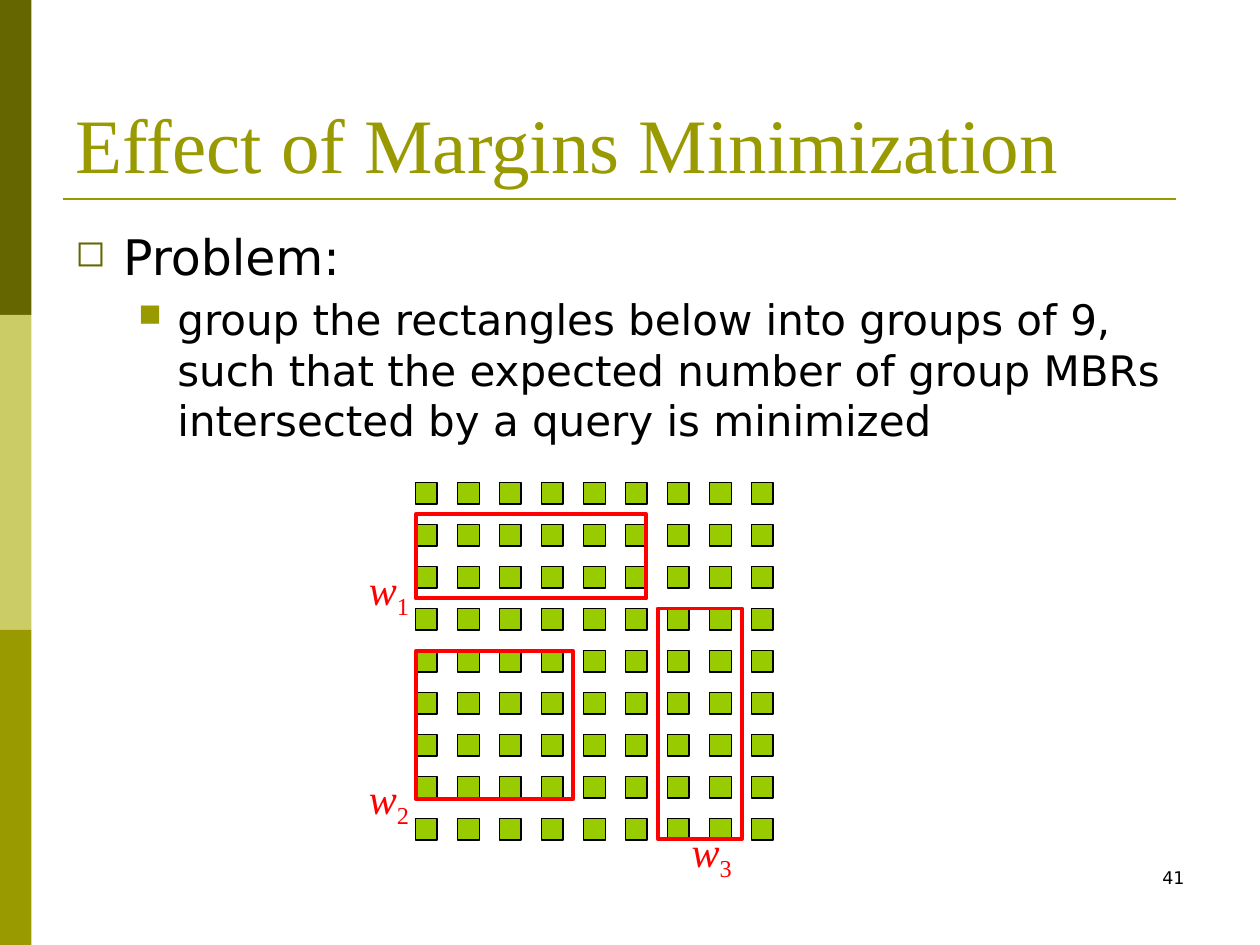
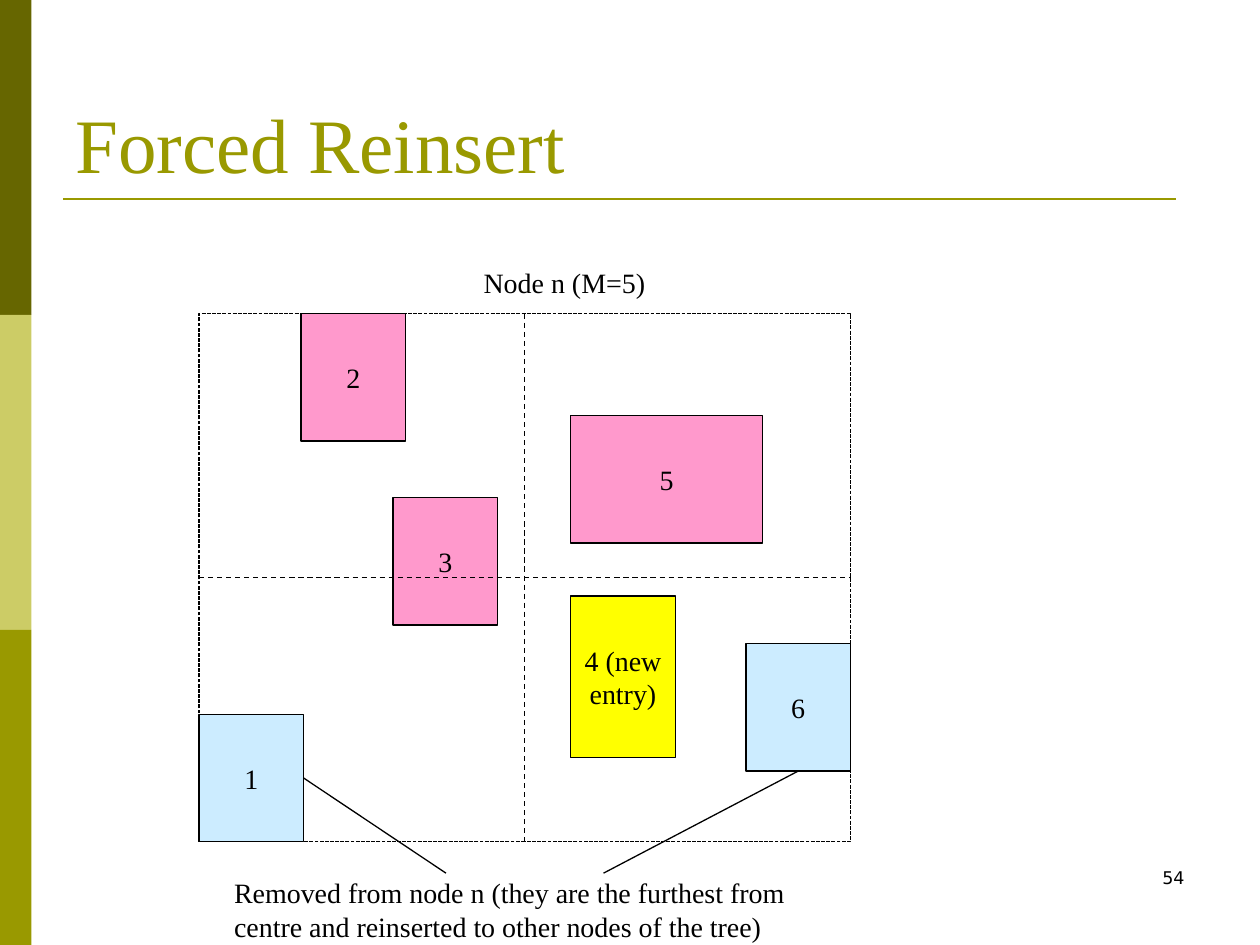
from lxml import etree
from pptx import Presentation
from pptx.dml.color import RGBColor
from pptx.enum.dml import MSO_LINE
from pptx.enum.shapes import MSO_CONNECTOR, MSO_SHAPE
from pptx.enum.text import MSO_ANCHOR, PP_ALIGN
from pptx.oxml.ns import qn
from pptx.shapes.connector import Connector
from pptx.util import Inches, Pt

SERIF, SANS = "Times New Roman", "DejaVu Sans"
OLIVE, DARK_OLIVE, LIGHT_OLIVE = "999900", "666600", "CCCC66"
BLACK, RED, GREEN = "000000", "FF0000", "99CC00"
PINK, BLUE, YELLOW = "FF99CC", "CCECFF", "FFFF00"
rgb = RGBColor.from_string


def add_rect(s, at, fill=None, line=None, width=0.75):
    sp = s.shapes.add_shape(MSO_SHAPE.RECTANGLE, *map(Inches, at))
    sp.shadow.inherit = False
    if fill:
        sp.fill.solid()
        sp.fill.fore_color.rgb = rgb(fill)
    else:
        sp.fill.background()
    if line:
        sp.line.color.rgb = rgb(line)
        sp.line.width = Pt(width)
    else:
        sp.line.fill.background()
    return sp


def add_run(p, text, size, font=SERIF, color=BLACK):
    r = p.add_run()
    r.text = text
    r.font.size = Pt(size)
    r.font.name = font
    r.font.color.rgb = rgb(color)
    return r


prs = Presentation()
prs.slide_width, prs.slide_height = Inches(10), Inches(7.5)

# Shared frame: side bands, title, rule and page number
for title, number in [("Effect of Margins Minimization", "41"), ("Forced Reinsert", "54")]:
    s = prs.slides.add_slide(prs.slide_layouts[6])
    for i, color in enumerate([DARK_OLIVE, LIGHT_OLIVE, OLIVE]):
        add_rect(s, (0, 2.5 * i, 0.25, 2.5), color)
    rule = s.shapes.add_connector(MSO_CONNECTOR.STRAIGHT, Inches(0.5), Inches(1.58),
                                  Inches(9.33), Inches(1.58))
    rule.line.color.rgb = rgb(OLIVE)
    rule.line.width = Pt(1.5)

    tf = s.shapes.add_textbox(Inches(0.5), Inches(0.3), Inches(9), Inches(1.25)).text_frame
    tf.word_wrap = True
    tf.vertical_anchor = MSO_ANCHOR.BOTTOM
    add_run(tf.paragraphs[0], title, 44, color=OLIVE)

    tf = s.shapes.add_textbox(Inches(7.17), Inches(6.83), Inches(2.33), Inches(0.5)).text_frame
    tf.word_wrap = True
    tf.paragraphs[0].alignment = PP_ALIGN.RIGHT
    add_run(tf.paragraphs[0], number, 10, SANS)

margins, reinsert = prs.slides

# Slide 1: problem statement
tf = margins.shapes.add_textbox(Inches(0.5), Inches(1.75), Inches(9), Inches(1.95)).text_frame
tf.word_wrap = True
problem = [
    ("Problem:", 28, 0, 0.38, 0.38, "◻", DARK_OLIVE),
    ("group the rectangles below into groups of 9, such that the expected number of "
     "group MBRs intersected by a query is minimized", 24, 1, 0.81, 0.31, "■", OLIVE),
]
for text, size, level, left, hanging, bullet, color in problem:
    p = tf.add_paragraph() if level else tf.paragraphs[0]
    p.level = level
    pPr = p._p.get_or_add_pPr()
    pPr.set("marL", str(Inches(left)))
    pPr.set("indent", str(-Inches(hanging)))
    if level:
        p.space_before = Pt(0.2 * size)
    bu_color = etree.SubElement(pPr, qn("a:buClr"))
    etree.SubElement(bu_color, qn("a:srgbClr"), val=color)
    etree.SubElement(pPr, qn("a:buSzPct"), val="75000")
    etree.SubElement(pPr, qn("a:buChar"), char=bullet)
    add_run(p, text, size, SANS)

# 9 x 9 grid of data rectangles
for col in range(9):
    for row in range(9):
        add_rect(margins, (3.3 + col / 3, 3.83 + row / 3, 0.17, 0.17), GREEN, BLACK)

# Query windows and their labels
windows = [
    ("1", (3.3, 4.08, 1.83, 0.67), (2.83, 4.42)),
    ("2", (3.3, 5.17, 1.25, 1.17), (2.83, 6.08)),
    ("3", (5.22, 4.83, 0.67, 1.83), (5.39, 6.5)),
]
for index, at, (x, y) in windows:
    add_rect(margins, at, line=RED, width=2.25)
    tf = margins.shapes.add_textbox(Inches(x), Inches(y), Inches(0.53), Inches(0.5)).text_frame
    p = tf.paragraphs[0]
    add_run(p, "w", 24, color=RED).font.italic = True
    subscript = add_run(p, index, 24, color=RED)
    subscript._r.get_or_add_rPr().set("baseline", "-25000")

# Slide 2: node entries
entries = {}
for label, at, color in [
    ("1", (1.58, 5.67, 0.83, 1.01), BLUE),
    ("2", (2.39, 2.49, 0.83, 1.01), PINK),
    ("3", (3.12, 3.95, 0.83, 1.01), PINK),
    ("5", (4.53, 3.3, 1.52, 1.01), PINK),
    ("4 (new entry)", (4.53, 4.73, 0.83, 1.28), YELLOW),
    ("6", (5.92, 5.11, 0.83, 1.01), BLUE),
]:
    sp = entries[label] = add_rect(reinsert, at, color, BLACK)
    tf = sp.text_frame
    tf.word_wrap = True
    tf.vertical_anchor = MSO_ANCHOR.MIDDLE
    p = tf.paragraphs[0]
    p.alignment = PP_ALIGN.CENTER
    add_run(p, label, 16)

node = add_rect(reinsert, (1.58, 2.49, 5.17, 4.19), line=BLACK)
node.line.dash_style = MSO_LINE.SQUARE_DOT

for text, at, wrap in [
    ("Removed from node n (they are the furthest from centre and reinserted to other "
     "nodes of the tree)", (1.76, 6.9, 4.99, 0.64), True),
    ("Node n (M=5)", (3.74, 2.06, 1.5, 0.37), False),
]:
    tf = reinsert.shapes.add_textbox(*map(Inches, at)).text_frame
    tf.word_wrap = wrap
    add_run(tf.paragraphs[0], text, 16)

# Pointers to the removed entries, then the node's centre lines
for ends, start, finish in [
    ((2.41, 6.18, 3.54, 6.93), (entries["1"], 3), None),
    ((6.34, 6.12, 4.79, 6.93), (entries["6"], 2), None),
    ((4.17, 2.49, 4.17, 6.68), (node, 0), (node, 2)),
    ((1.58, 4.58, 6.75, 4.58), (node, 1), (node, 3)),
]:
    line = reinsert.shapes.add_connector(MSO_CONNECTOR.STRAIGHT, *map(Inches, ends))
    line.line.color.rgb = rgb(BLACK)
    line.line.width = Pt(0.75)
    line.begin_connect(*start)
    if finish:
        line.end_connect(*finish)
        line.line.dash_style = MSO_LINE.DASH

# Connectors carry no shadow
for s in prs.slides:
    for sp in s.shapes:
        if isinstance(sp, Connector):
            etree.SubElement(sp._element.spPr, qn("a:effectLst"))

prs.save("out.pptx")
